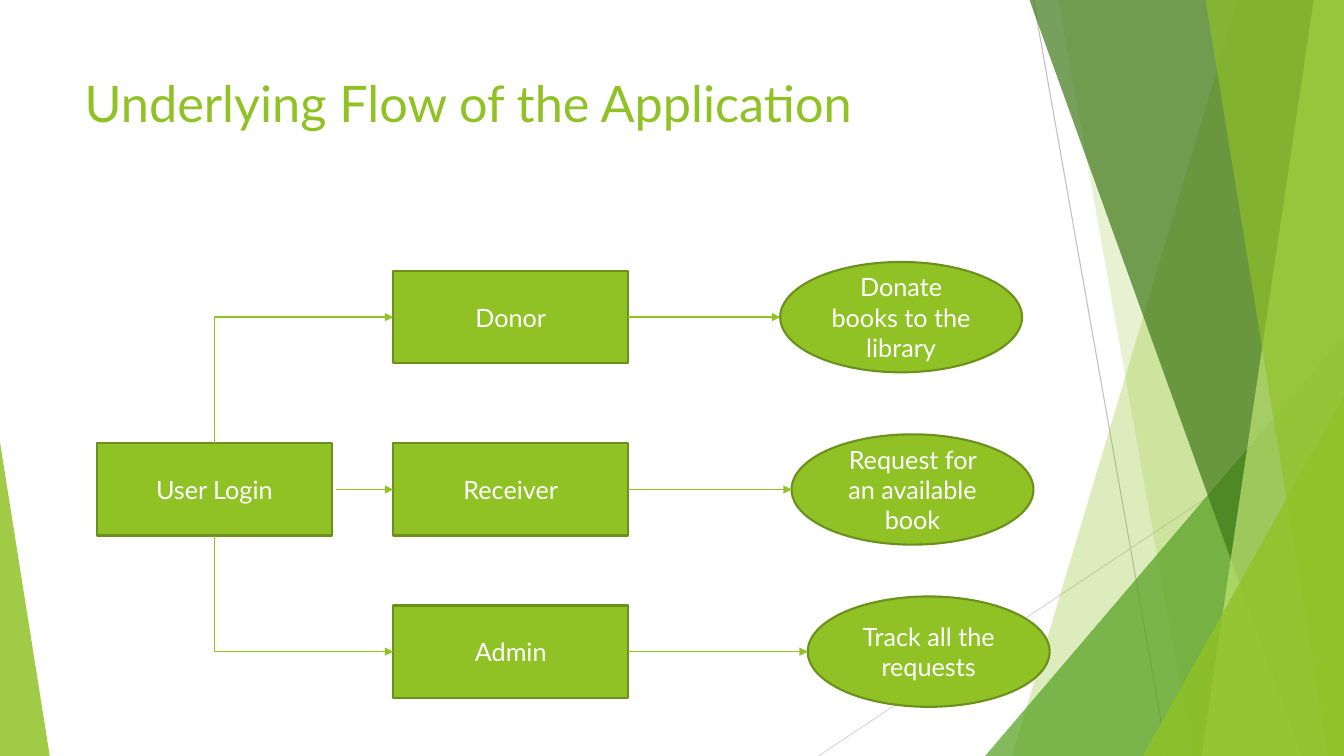
"""Build the slide that shows the user flow of a book donation application."""
from lxml.etree import SubElement
from pptx import Presentation
from pptx.dml.color import RGBColor
from pptx.enum.shapes import MSO_CONNECTOR, MSO_SHAPE
from pptx.enum.text import MSO_ANCHOR, MSO_AUTO_SIZE, PP_ALIGN
from pptx.oxml.ns import qn
from pptx.util import Inches, Pt

COLOURS = {
    "lime": "90C226", "olive": "6B901C", "leaf": "54A021", "forest": "3F7819",
    "pale": "C0E474", "silver": "BFBFBF", "mist": "D9D9D9", "white": "FFFFFF",
}
LABEL_FONT = {"name": "Lato", "size": Pt(18)}
TITLE_FONT = {"name": "Lato", "size": Pt(36)}
TITLE_FRAME = {"word_wrap": True, "auto_size": MSO_AUTO_SIZE.NONE,
               "vertical_anchor": MSO_ANCHOR.TOP}
LABEL_FRAME = {"word_wrap": True, "vertical_anchor": MSO_ANCHOR.MIDDLE}

deck = Presentation()
deck.slide_width, deck.slide_height = Inches(13.33), Inches(7.5)
slide = deck.slides.add_slide(deck.slide_layouts[5])
shapes = slide.shapes


def share(*percents):
    """Turn alternating across and down percentages into slide lengths."""
    sides = (deck.slide_width, deck.slide_height)
    return [round(sides[i % 2] * part / 100) for i, part in enumerate(percents)]


def join(kind, ends, colour, width):
    """Draw a plain connector between two points given in percent."""
    link = shapes.add_connector(kind, *share(*ends))
    link.line.color.rgb = RGBColor.from_string(COLOURS[colour])
    link.line.width = Pt(width)
    SubElement(link.element.spPr, qn("a:effectLst"))
    return link


for ends, colour in (((76.9, 0, 86.85, 100), "silver"),
                     ((100, 53.75, 60.9, 100), "mist")):
    join(MSO_CONNECTOR.STRAIGHT, ends, colour, 0.75)

backdrop = [
    ("band", (92.1, 75.3), "lime", 30),
    ("band", (78.75, 88.75), "lime", 20),
    ("corner", (73.3, 44.4, 26.7, 55.6, 1), "leaf", 72),
    ("band", (76.6, 96.85), "forest", 70),
    ("band", (97.75, 89.4), "pale", 70),
    ("band", (89.7, 98.85), "lime", 65),
    ("corner", (85.05, 52.4, 14.95, 47.6, 1), "lime", 80),
    ("corner", (0, 58.5, 3.7, 41.5, 0), "lime", 85),
]
for form, measures, colour, opacity in backdrop:
    if form == "band":
        top, bottom = measures
        outline = shapes.build_freeform(*share(top, 0))
        outline.add_line_segments(
            [share(100, 0), share(100, 100), share(bottom, 100)])
        facet = outline.convert_to_shape()
    else:
        facet = shapes.add_shape(MSO_SHAPE.ISOSCELES_TRIANGLE, *share(*measures[:4]))
        facet.adjustments[0] = measures[4]
    facet.shadow.inherit = False
    facet.fill.solid()
    facet.fill.fore_color.rgb = RGBColor.from_string(COLOURS[colour])
    tint = facet.element.spPr.find(".//" + qn("a:srgbClr"))
    SubElement(tint, qn("a:alpha"), val=str(opacity * 1000))
    facet.line.fill.background()

heading = shapes.title
heading.left, heading.top, heading.width, heading.height = share(5.55, 8.93, 70.5, 19.2)
heading.text_frame.text = "Underlying Flow of the Application"
for name, value in TITLE_FRAME.items():
    setattr(heading.text_frame, name, value)
heading_line = heading.text_frame.paragraphs[0]
heading_line.alignment = PP_ALIGN.LEFT
for name, value in TITLE_FONT.items():
    setattr(heading_line.runs[0].font, name, value)
heading_line.runs[0].font.color.rgb = RGBColor.from_string(COLOURS["lime"])

login_left, role_left = 7.2, 29.25
box_width, box_height = 17.5, 12.2
action_width, action_height = 18, 14.6
login_centre, role_right = login_left + box_width / 2, role_left + box_width
donor_row, receiver_row, admin_row = 41.95, 64.75, 86.2
flow = [
    ("Donor", donor_row, "Donate books to the library", 58.05),
    ("Receiver", receiver_row, "Request for an available book", 58.9),
    ("Admin", admin_row, "Track all the requests", 60.1),
]

steps = [("User Login", MSO_SHAPE.RECTANGLE, login_left, receiver_row,
          box_width, box_height)]
arrows = [
    (MSO_CONNECTOR.STRAIGHT, (25, receiver_row, role_left, receiver_row)),
    (MSO_CONNECTOR.ELBOW,
     (login_centre, receiver_row - box_height / 2, role_left, donor_row)),
    (MSO_CONNECTOR.ELBOW,
     (login_centre, receiver_row + box_height / 2, role_left, admin_row)),
]
for role, row, action, action_left in flow:
    steps.append((role, MSO_SHAPE.RECTANGLE, role_left, row, box_width, box_height))
    steps.append((action, MSO_SHAPE.OVAL, action_left, row, action_width, action_height))
    arrows.append((MSO_CONNECTOR.STRAIGHT, (role_right, row, action_left, row)))

for label, outline, left, row, width, height in steps:
    step = shapes.add_shape(outline, *share(left, row - height / 2, width, height))
    step.shadow.inherit = False
    step.fill.solid()
    step.fill.fore_color.rgb = RGBColor.from_string(COLOURS["lime"])
    step.line.color.rgb = RGBColor.from_string(COLOURS["olive"])
    step.line.width = Pt(1.5)
    step.text_frame.text = label
    for name, value in LABEL_FRAME.items():
        setattr(step.text_frame, name, value)
    label_line = step.text_frame.paragraphs[0]
    label_line.alignment = PP_ALIGN.CENTER
    for name, value in LABEL_FONT.items():
        setattr(label_line.runs[0].font, name, value)
    label_line.runs[0].font.color.rgb = RGBColor.from_string(COLOURS["white"])

for kind, ends in arrows:
    arrow = join(kind, ends, "lime", 1)
    SubElement(arrow.element.spPr.find(qn("a:ln")), qn("a:tailEnd"), type="triangle")
    if kind == MSO_CONNECTOR.ELBOW:
        bends = arrow.element.spPr.find(".//" + qn("a:avLst"))
        SubElement(bends, qn("a:gd"), name="adj1", fmla="val 0")

deck.save("out.pptx")
